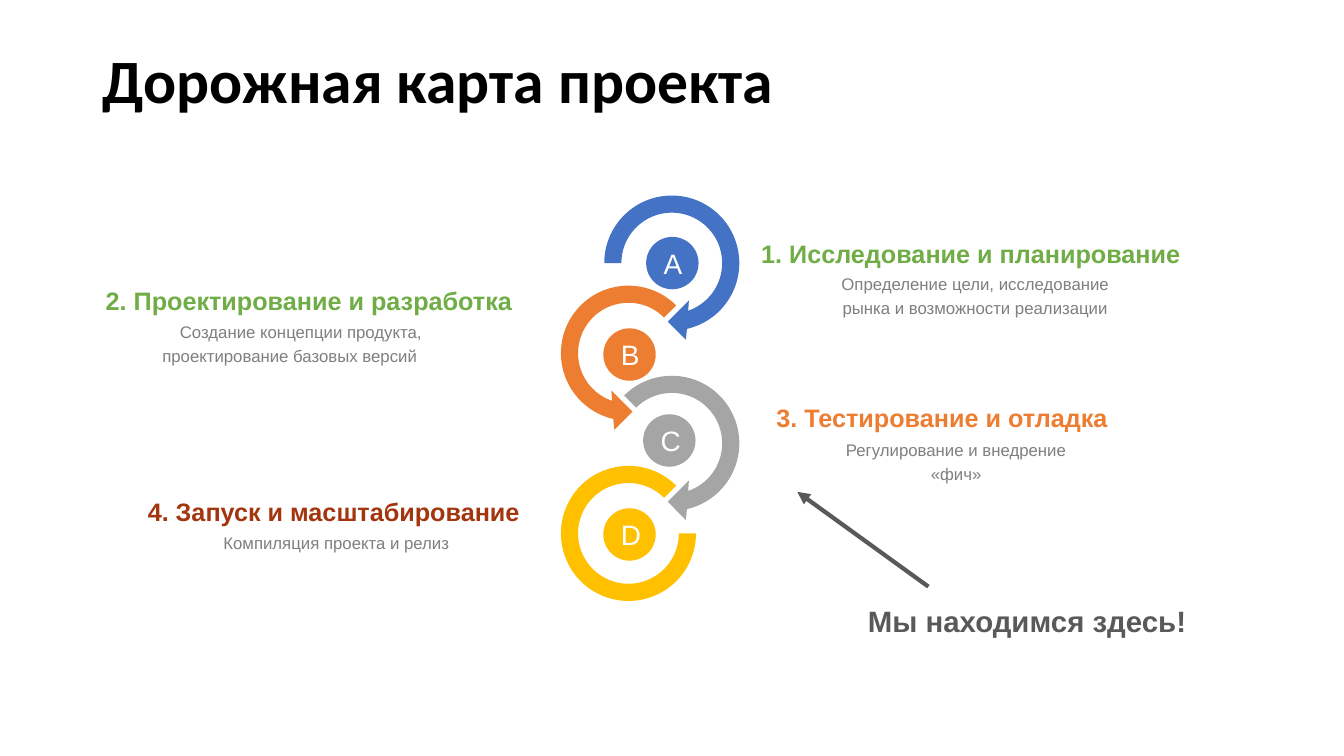
from math import cos, radians, sin, tan

from lxml import etree
from pptx import Presentation
from pptx.dml.color import RGBColor
from pptx.enum.shapes import MSO_CONNECTOR, MSO_SHAPE
from pptx.enum.text import MSO_ANCHOR, PP_ALIGN
from pptx.oxml.ns import qn
from pptx.util import Inches, Pt

BLANK_LAYOUT = 6
CELL = Inches(0.1)
COLUMNS, ROWS = 133.33, 75
LEFT, CENTER, RIGHT, JUSTIFY = (
    PP_ALIGN.LEFT, PP_ALIGN.CENTER, PP_ALIGN.RIGHT, PP_ALIGN.JUSTIFY)
TOP, MIDDLE = MSO_ANCHOR.TOP, MSO_ANCHOR.MIDDLE
OVAL, BLOCK_ARC = MSO_SHAPE.OVAL, MSO_SHAPE.BLOCK_ARC
STRAIGHT = MSO_CONNECTOR.STRAIGHT

BLACK = RGBColor(0x00, 0x00, 0x00)
WHITE = RGBColor(0xFF, 0xFF, 0xFF)
BLUE = RGBColor(0x44, 0x72, 0xC4)
ORANGE = RGBColor(0xED, 0x7D, 0x31)
SILVER = RGBColor(0xA5, 0xA5, 0xA5)
GOLD = RGBColor(0xFF, 0xC0, 0x00)
GREEN = RGBColor(0x70, 0xAD, 0x47)
RUST = RGBColor(0xA3, 0x36, 0x0F)
GRAY = RGBColor(0x7F, 0x7F, 0x7F)
DARK_GRAY = RGBColor(0x59, 0x59, 0x59)

RING_RADIUS, RING_INNER, BADGE_SIZE = 6.7, 5, 5.2
RING_PITCH, FIRST_RING_ROW = 8.94, 26.1
RIGHT_RING_COLUMN, LEFT_RING_COLUMN = 66.65, 62.35
ARROWHEAD = [(1.4, 7.6), (-0.4, 5.8), (1.7, 3.7)]
RING_END, INNER_END = 77, 71
ARC_CURVES = 3

# letter, colour, start angle, badge offset from the ring centre
RINGS = [
    ("A", BLUE, 180, (0.05, 0)),
    ("B", ORANGE, 225, (0.1, 0.13)),
    ("C", SILVER, 225, (-0.25, -0.28)),
    ("D", GOLD, None, (0.1, 0.1)),
]

# heading, colour, alignment, heading box, description, alignment, description box
STAGES = [
    ("1. Исследование и планирование ", GREEN, JUSTIFY, (74.53, 22.55, 46.3, 4.3),
     "Определение цели, исследование рынка и возможности реализации", CENTER,
     (80.65, 26.3, 32.2, 5.6)),
    ("2. Проектирование и разработка", GREEN, RIGHT, (4.8, 27.2, 47, 4.3),
     "Создание концепции продукта, проектирование базовых версий ", RIGHT,
     (10.95, 31, 31.9, 5.6)),
    ("3. Тестирование и отладка ", ORANGE, JUSTIFY, (76.03, 38.85, 41.5, 4.3),
     "Регулирование и внедрение «фич»", CENTER, (81.75, 42.7, 26.2, 5.6)),
    ("4. Запуск и масштабирование", RUST, RIGHT, (10.95, 48.15, 41.6, 4.3),
     "Компиляция проекта и релиз", RIGHT, (13.67, 51.95, 31.9, 3.2)),
]


def cells(*values):
    """Turn grid cells into slide lengths."""
    return [round(value * CELL) for value in values]


def write(frame, text, size, color, align, bold=False, font="Arial", spacing=1.0):
    """Fill a text frame with one formatted paragraph."""
    frame.word_wrap = True
    paragraph = frame.paragraphs[0]
    paragraph.text = text
    paragraph.alignment = align
    paragraph.line_spacing = spacing
    paragraph.font.name = font
    paragraph.font.size = Pt(size)
    paragraph.font.bold = bold
    paragraph.font.color.rgb = color


def add_label(slide, box, text, size, color, align, anchor=TOP, spacing=1.2, **style):
    """Place a text box in the given grid box."""
    frame = slide.shapes.add_textbox(*cells(*box)).text_frame
    frame.vertical_anchor = anchor
    write(frame, text, size, color, align, spacing=spacing, **style)


def paint(shape, color):
    """Give a shape a plain fill without line or shadow."""
    shape.shadow.inherit = False
    shape.fill.solid()
    shape.fill.fore_color.rgb = color
    shape.line.fill.background()


def arc(radius, start, end):
    """Return the start and the Bézier points of an arc about the origin."""
    step = radians(end - start) / ARC_CURVES
    reach = 4 / 3 * tan(step / 4)
    points = [(radius * cos(radians(start)), radius * sin(radians(start)))]
    for index in range(ARC_CURVES):
        a = radians(start) + index * step
        b = a + step
        points += [
            (radius * (cos(a) - reach * sin(a)), radius * (sin(a) + reach * cos(a))),
            (radius * (cos(b) + reach * sin(b)), radius * (sin(b) - reach * cos(b))),
            (radius * cos(b), radius * sin(b)),
        ]
    return points


def bend(shape, first_segments):
    """Merge three line segments into one curve at each given segment."""
    lines = list(shape._element.iter(qn("a:lnTo")))
    for first in first_segments:
        curve = etree.Element(qn("a:cubicBezTo"))
        lines[first].addprevious(curve)
        for line in lines[first:first + 3]:
            curve.append(line[0])
            line.getparent().remove(line)


def add_arrow_ring(slide, center, start, side, color):
    """Draw a ring ending in an arrowhead, mirrored when side is -1."""
    outer = arc(RING_RADIUS, start, 360 + RING_END)
    inner = arc(RING_INNER, 360 + INNER_END, start)
    points = [cells(center[0] + side * x, center[1] + y)
              for x, y in outer + ARROWHEAD + inner]
    builder = slide.shapes.build_freeform(*points[0])
    builder.add_line_segments(points[1:], close=True)
    ring = builder.convert_to_shape()
    inner_first = len(outer) + len(ARROWHEAD)
    bend(ring, [offset + 3 * i for offset in (0, inner_first) for i in range(ARC_CURVES)])
    paint(ring, color)


def add_final_ring(slide, center, color):
    """Draw the open ring that closes the chain."""
    box = (center[0] - RING_RADIUS, center[1] - RING_RADIUS,
           2 * RING_RADIUS, 2 * RING_RADIUS)
    ring = slide.shapes.add_shape(BLOCK_ARC, *cells(*box))
    for index, value in enumerate((0, 189, 0.127)):
        ring.adjustments[index] = value
    paint(ring, color)


def add_badge(slide, center, letter, color):
    """Place a lettered disc around the given centre."""
    box = (center[0] - BADGE_SIZE / 2, center[1] - BADGE_SIZE / 2,
           BADGE_SIZE, BADGE_SIZE)
    badge = slide.shapes.add_shape(OVAL, *cells(*box))
    paint(badge, color)
    badge.text_frame.vertical_anchor = MIDDLE
    write(badge.text_frame, letter, 20, WHITE, CENTER)


def add_chain(slide):
    """Draw the rings, alternating right and left down the slide."""
    for index, (letter, color, start, offset) in enumerate(RINGS):
        side = -1 if index % 2 else 1
        column = RIGHT_RING_COLUMN if side == 1 else LEFT_RING_COLUMN
        center = (column, FIRST_RING_ROW + index * RING_PITCH)
        if start is None:
            add_final_ring(slide, center, color)
        else:
            add_arrow_ring(slide, center, start, side, color)
        add_badge(slide, (center[0] + offset[0], center[1] + offset[1]), letter, color)


def add_stages(slide):
    """Write the heading and description of every stage."""
    for heading, color, align, box, description, text_align, text_box in STAGES:
        add_label(slide, text_box, description, 12, GRAY, text_align)
        add_label(slide, box, heading, 18, color, align, bold=True)


def add_position_marker(slide):
    """Write the current position and point at its stage."""
    add_label(slide, (71.65, 58.65, 47, 4.3), " Мы находимся здесь!", 21, DARK_GRAY,
              RIGHT, bold=True)
    pointer = slide.shapes.add_connector(STRAIGHT, *cells(92.1, 58.2, 79.1, 48.8))
    pointer.line.color.rgb = DARK_GRAY
    pointer.line.width = Pt(3)
    etree.SubElement(pointer.line._get_or_add_ln(), qn("a:tailEnd"), type="triangle")
    etree.SubElement(pointer._element.spPr, qn("a:effectLst"))


def main():
    """Build the roadmap slide and save it."""
    deck = Presentation()
    deck.slide_width, deck.slide_height = cells(COLUMNS, ROWS)
    slide = deck.slides.add_slide(deck.slide_layouts[BLANK_LAYOUT])
    add_label(slide, (9.2, 4, 115, 8.5), "Дорожная карта проекта", 44, BLACK, LEFT,
              anchor=MIDDLE, spacing=0.9, bold=True, font="Calibri")
    add_chain(slide)
    add_stages(slide)
    add_position_marker(slide)
    deck.save("out.pptx")


if __name__ == "__main__":
    main()
